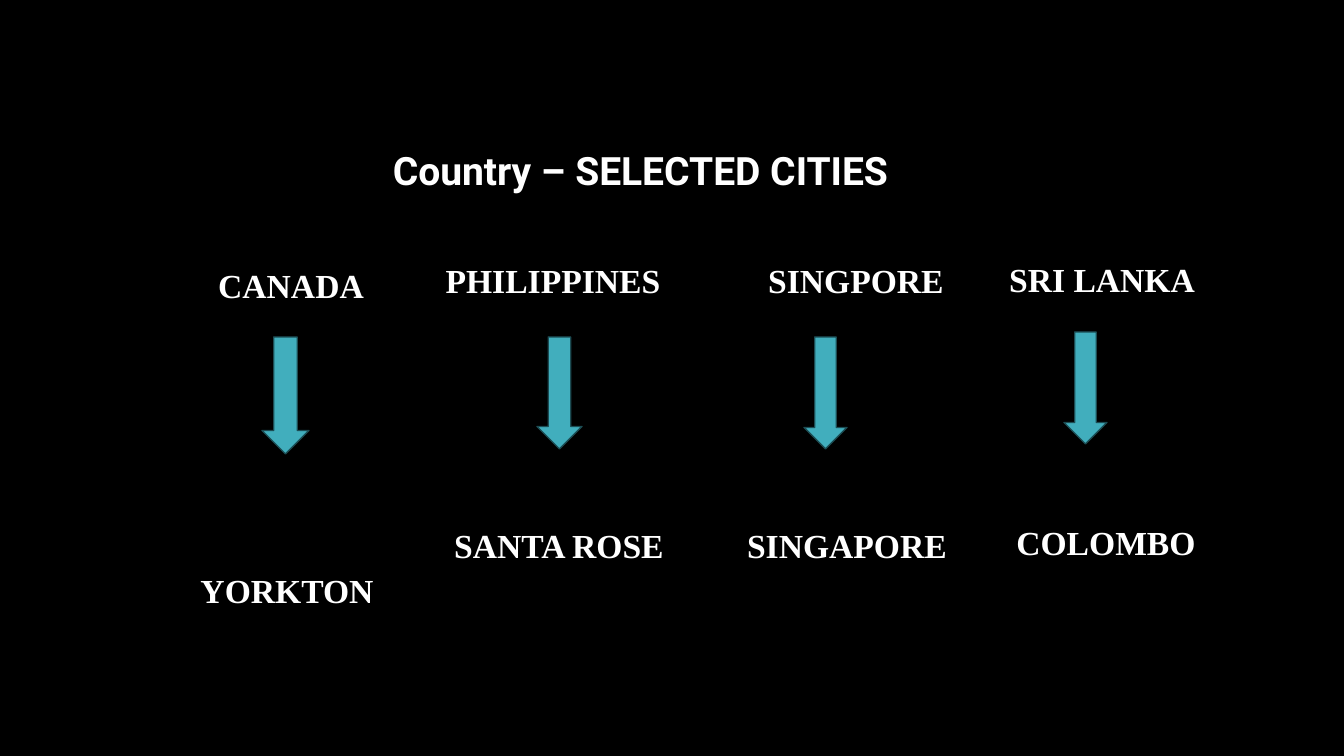
from pptx import Presentation
from pptx import util as u
from pptx.dml.color import RGBColor
from pptx.enum import shapes, text

PX = 914400 / 100.8  # EMU in one px
COLORS = {"back": "000000", "font": "FFFFFF", "arrow": "41AEBD", "edge": "1C4C53"}
LABEL_W, LABEL_H = 265, 50

# (country, mid x, top), (arrow left, top, width, height), (city, mid x, top)
ROUTES = [
    (("CANADA", 291, 260), (262, 337, 47, 117), ("YORKTON", 287, 565)),
    (("PHILIPPINES", 553, 255), (537, 337, 45, 112), ("SANTA ROSE", 559, 520)),
    (("SINGPORE", 856, 255), (804, 337, 43, 112), ("SINGAPORE", 847, 520)),
    (("SRI LANKA", 1102, 254), (1064, 332, 43, 112), ("COLOMBO", 1106, 517)),
]


def px(*nums):
    return [u.Emu(round(n * PX)) for n in nums]


def color(name):
    return RGBColor.from_string(COLORS[name])


def add_text(slide, words, box, face, size):
    frame = slide.shapes.add_textbox(*px(*box)).text_frame
    frame.word_wrap = True
    frame.vertical_anchor = text.MSO_ANCHOR.MIDDLE
    para = frame.paragraphs[0]
    para.text = words
    para.alignment = text.PP_ALIGN.CENTER
    font = para.font
    font.name, font.size, font.bold = face, u.Pt(size), True
    font.color.rgb = color("font")


def add_label(slide, words, mid, top):
    box = (mid - LABEL_W / 2, top, LABEL_W, LABEL_H)
    add_text(slide, words, box, "Times New Roman", 24)


def add_arrow(slide, box):
    arrow = slide.shapes.add_shape(shapes.MSO_SHAPE.DOWN_ARROW, *px(*box))
    arrow.shadow.inherit = False
    arrow.fill.solid()
    arrow.fill.fore_color.rgb = color("arrow")
    arrow.line.color.rgb = color("edge")
    arrow.line.width = u.Pt(1)


def main():
    deck = Presentation()
    deck.slide_width, deck.slide_height = px(1344, 756)
    slide = deck.slides.add_slide(deck.slide_layouts[6])

    # Background
    fill = slide.background.fill
    fill.solid()
    fill.fore_color.rgb = color("back")

    # Title
    add_text(slide, "Country – SELECTED CITIES", (340, 140, 601, 60), "Roboto", 27.9)

    # Countries, each with an arrow down to its city
    for country, arrow, city in ROUTES:
        add_label(slide, *country)
        add_arrow(slide, arrow)
        add_label(slide, *city)

    deck.save("out.pptx")


if __name__ == "__main__":
    main()
